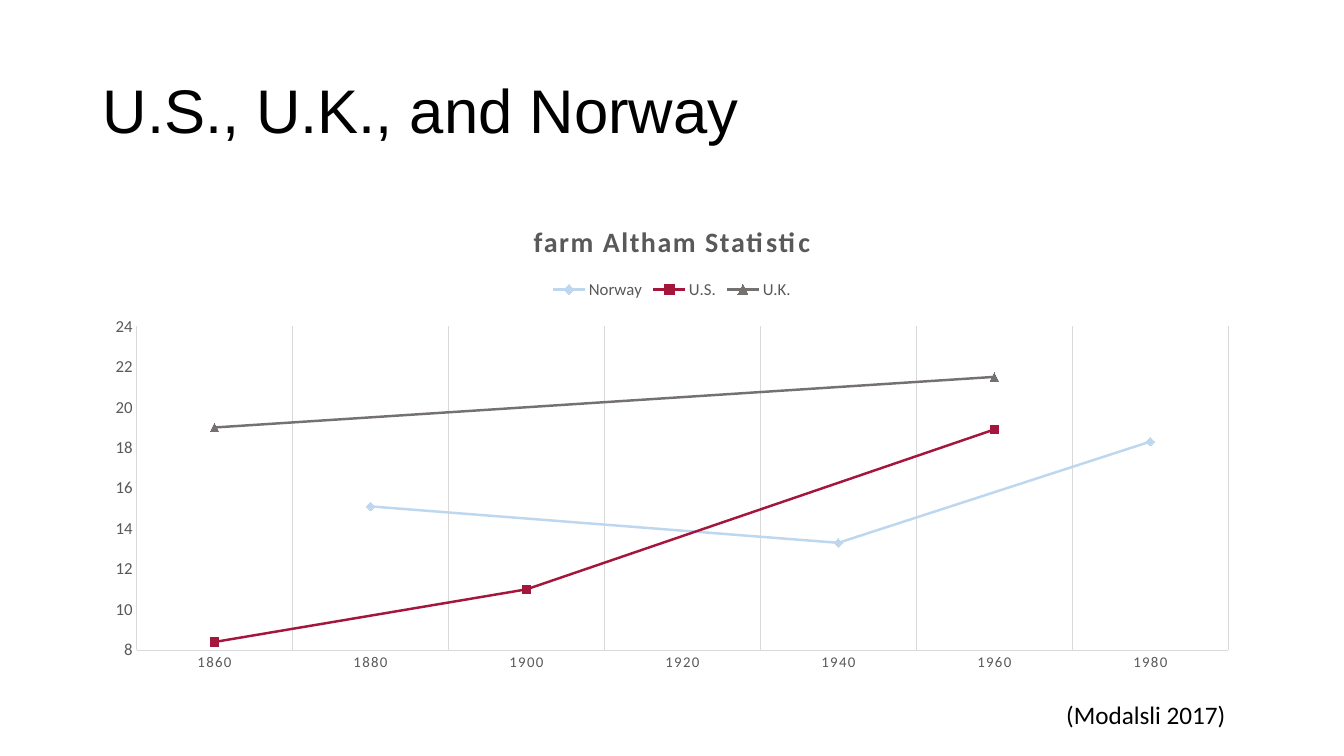
"""Build a slide with a line chart of farm Altham statistics in three countries."""
from dataclasses import dataclass

from lxml import etree
from pptx import Presentation
from pptx.chart.data import CategoryChartData
from pptx.dml.color import RGBColor
from pptx.enum.chart import XL_CHART_TYPE, XL_LEGEND_POSITION, XL_MARKER_STYLE, XL_TICK_MARK
from pptx.enum.text import MSO_ANCHOR, MSO_AUTO_SIZE, PP_ALIGN
from pptx.oxml.ns import qn
from pptx.util import Cm, Pt

LINE_MARKERS = XL_CHART_TYPE.LINE_MARKERS
LEGEND_TOP = XL_LEGEND_POSITION.TOP
DIAMOND, SQUARE, TRIANGLE = (
    XL_MARKER_STYLE.DIAMOND, XL_MARKER_STYLE.SQUARE, XL_MARKER_STYLE.TRIANGLE)
NO_TICK = XL_TICK_MARK.NONE
MIDDLE = MSO_ANCHOR.MIDDLE
NO_FIT, GROW = MSO_AUTO_SIZE.NONE, MSO_AUTO_SIZE.SHAPE_TO_FIT_TEXT
LEFT = PP_ALIGN.LEFT

YEARS = [str(year) for year in range(1860, 1981, 20)]
COUNTRIES = {
    "Norway": ({"1880": 15.1, "1940": 13.3, "1980": 18.3}, "BDD7EE", DIAMOND),
    "U.S.": ({"1860": 8.4, "1900": 11, "1960": 18.9}, "A4163B", SQUARE),
    "U.K.": ({"1860": 19, "1960": 21.5}, "767171", TRIANGLE),
}
PLOT_LAYOUT = {"x": 0.038, "y": 0.26, "w": 0.942, "h": 0.675}


@dataclass(frozen=True)
class Theme:
    """Colours, fonts and type sizes of the slide."""
    ink: str = "000000"
    muted: str = "595959"
    rule: str = "D9D9D9"
    heading_font: str = "Arial"
    body_font: str = "Calibri"
    title_size: float = 44
    citation_size: float = 18
    chart_title_size: float = 20
    label_size: float = 12
    year_size: float = 10.6
    rule_width: float = 0.75
    series_width: float = 1.75
    marker_size: int = 6
    letter_spacing: str = "100"


def set_values(target, values):
    """Set every attribute in a dict of format values."""
    for name, value in values.items():
        setattr(target, name, value)


class SlideBuilder:
    """Hold the theme and the current slide, and add elements to it."""

    def __init__(self, slide, theme):
        self.slide = slide
        self.theme = theme

    def style_font(self, font, size, color, name, bold=False):
        """Format a font."""
        set_values(font, {"size": Pt(size), "name": name, "bold": bold})
        font.color.rgb = RGBColor.from_string(color)

    def style_line(self, line, color, width):
        """Format a line."""
        line.color.rgb = RGBColor.from_string(color)
        line.width = Pt(width)

    def add_title(self, text, box):
        """Fill and place the title placeholder."""
        title = self.slide.shapes.title
        set_values(title, box)
        frame = title.text_frame
        frame.text = text
        set_values(frame, {"word_wrap": True, "auto_size": NO_FIT, "vertical_anchor": MIDDLE})
        paragraph = frame.paragraphs[0]
        set_values(paragraph, {"alignment": LEFT, "line_spacing": 0.9})
        theme = self.theme
        self.style_font(paragraph.runs[0].font, theme.title_size, theme.ink, theme.heading_font)

    def add_text(self, text, box):
        """Add a text box with one paragraph."""
        frame = self.slide.shapes.add_textbox(**box).text_frame
        frame.text = text
        set_values(frame, {"word_wrap": True, "auto_size": GROW})
        theme = self.theme
        self.style_font(frame.paragraphs[0].runs[0].font,
                        theme.citation_size, theme.ink, theme.body_font)

    def add_line_chart(self, heading, box):
        """Add the line chart with its title, legend and axes."""
        theme = self.theme
        data = CategoryChartData()
        data.categories = YEARS
        for country, (points, _, _) in COUNTRIES.items():
            data.add_series(country, [points.get(year) for year in YEARS])
        frame = self.slide.shapes.add_chart(
            LINE_MARKERS, box["left"], box["top"], box["width"], box["height"], data)
        chart = frame.chart
        self.style_font(chart.font, 10, theme.ink, theme.body_font)
        chart.has_title = True
        title_frame = chart.chart_title.text_frame
        title_frame.text = heading
        self.style_font(title_frame.paragraphs[0].runs[0].font,
                        theme.chart_title_size, theme.muted, theme.body_font, bold=True)
        chart.has_legend = True
        set_values(chart.legend, {"position": LEGEND_TOP, "include_in_layout": False})
        self.style_font(chart.legend.font, theme.label_size, theme.muted, theme.body_font)
        self.style_axes(chart)
        self.style_series(chart)
        self.finish_chart(chart)

    def style_axes(self, chart):
        """Format the year axis and the value axis."""
        theme = self.theme
        years, values = chart.category_axis, chart.value_axis
        for axis, size in ((years, theme.year_size), (values, theme.label_size)):
            set_values(axis, {"major_tick_mark": NO_TICK, "minor_tick_mark": NO_TICK})
            self.style_font(axis.tick_labels.font, size, theme.muted, theme.body_font)
            self.style_line(axis.format.line, theme.rule, theme.rule_width)
        set_values(values, {"minimum_scale": 8, "maximum_scale": 24, "major_unit": 2,
                            "has_major_gridlines": False})
        years.has_major_gridlines = True
        self.style_line(years.major_gridlines.format.line, theme.rule, theme.rule_width)

    def style_series(self, chart):
        """Format the line and markers of each country."""
        theme = self.theme
        plot = chart.plots[0]
        plot.vary_by_categories = False
        for series, (_, color, marker_style) in zip(plot.series, COUNTRIES.values()):
            series.smooth = False
            self.style_line(series.format.line, color, theme.series_width)
            marker = series.marker
            set_values(marker, {"style": marker_style, "size": theme.marker_size})
            marker.format.fill.solid()
            marker.format.fill.fore_color.rgb = RGBColor.from_string(color)
            self.style_line(marker.format.line, color, theme.rule_width)

    def finish_chart(self, chart):
        """Join lines across gaps, space the letters and place the plot area."""
        root = chart.element if hasattr(chart, "element") else chart._chartSpace
        for blanks in root.xpath(".//c:dispBlanksAs"):
            blanks.set("val", "span")
        for font in root.xpath(".//c:title//a:rPr | .//c:catAx/c:txPr//a:defRPr"):
            font.set("spc", self.theme.letter_spacing)
        plot_area = root.xpath(".//c:plotArea")[0]
        for layout in plot_area.findall(qn("c:layout")):
            plot_area.remove(layout)
        layout = etree.Element(qn("c:layout"))
        plot_area.insert(0, layout)
        manual = etree.SubElement(layout, qn("c:manualLayout"))
        settings = {"layoutTarget": "inner", "xMode": "edge", "yMode": "edge", **PLOT_LAYOUT}
        for name, value in settings.items():
            etree.SubElement(manual, qn(f"c:{name}")).set("val", str(value))


def main():
    """Build and save the presentation."""
    presentation = Presentation()
    set_values(presentation, {"slide_width": Cm(33.87), "slide_height": Cm(19.05)})
    slide = presentation.slides.add_slide(presentation.slide_layouts[5])
    builder = SlideBuilder(slide, Theme())
    content = {"left": Cm(2.33), "width": Cm(29.21)}
    builder.add_title("U.S., U.K., and Norway",
                      {**content, "top": Cm(1.01), "height": Cm(3.68)})
    builder.add_line_chart("farm Altham Statistic",
                           {**content, "top": Cm(5.08), "height": Cm(12.09)})
    builder.add_text("(Modalsli 2017)", {"left": Cm(26.62), "top": Cm(17.5),
                                         "width": Cm(6.38), "height": Cm(1.03)})
    presentation.save("out.pptx")


if __name__ == "__main__":
    main()
